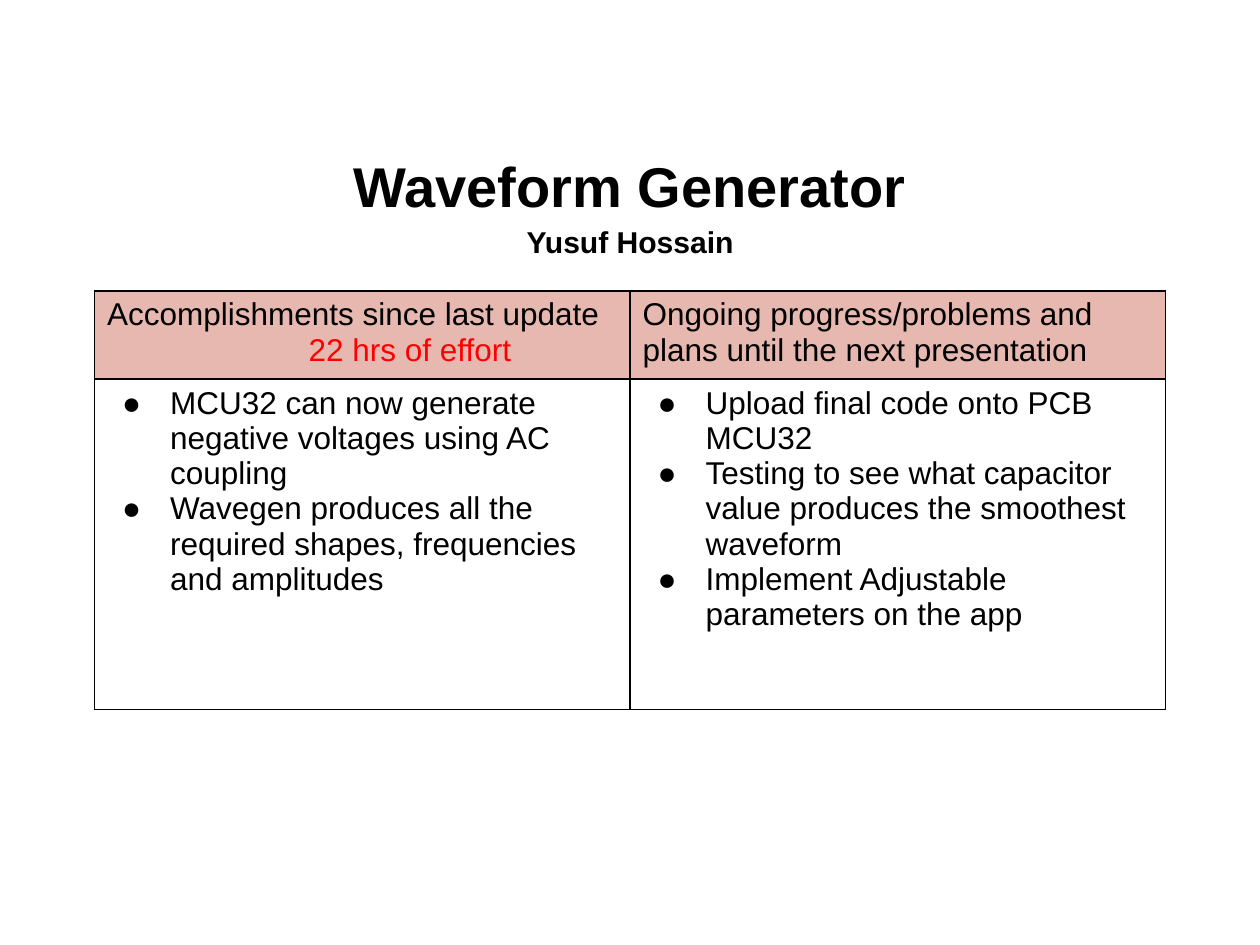
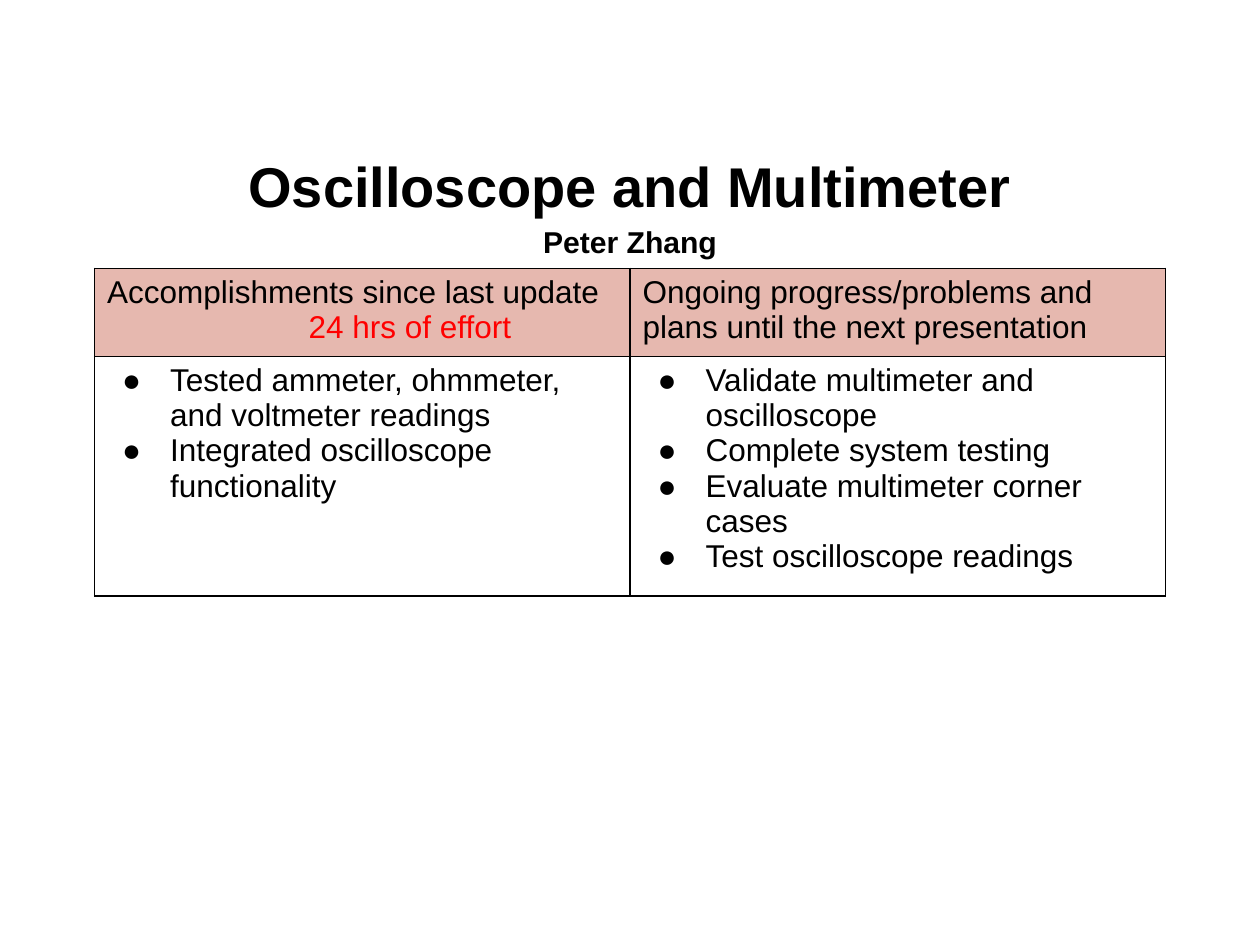
"""Build two project status slides, each with a heading and a progress table."""
from dataclasses import dataclass

from lxml.etree import SubElement
from pptx import Presentation
from pptx.dml.color import RGBColor as Rgb
from pptx.enum.text import MSO_ANCHOR as Anchor, MSO_AUTO_SIZE as Fit, PP_ALIGN as Align
from pptx.oxml.ns import qn
from pptx.util import Inches, Pt

FONT = "Arial"
COLORS = {"ink": "000000", "effort": "FF0000", "head": "E6B8AF", "page": "FFFFFF"}
DONE = "Accomplishments since last update"
NEXT = "Ongoing progress/problems and plans until the next presentation"


@dataclass
class Report:
    title: str
    owner: str
    hours: int
    done: list[str]
    plans: list[str]
    top: float
    depth: float


REPORTS = [
    Report(
        "Waveform Generator", "Yusuf Hossain", 22,
        ["MCU32 can now generate negative voltages using AC coupling",
         "Wavegen produces all the required shapes, frequencies and amplitudes"],
        ["Upload final code onto PCB MCU32",
         "Testing to see what capacitor value produces the smoothest waveform",
         "Implement Adjustable parameters on the app"],
        2.31, 2.62),
    Report(
        "Oscilloscope and Multimeter", "Peter Zhang", 24,
        ["Tested ammeter, ohmmeter, and voltmeter readings",
         "Integrated oscilloscope functionality"],
        ["Validate multimeter and oscilloscope",
         "Complete system testing",
         "Evaluate multimeter corner cases",
         "Test oscilloscope readings"],
        2.13, 1.9),
]


def style(para, size: float, color: str = "ink", bold: bool = False) -> None:
    for run in para.runs:
        run.font.name = FONT
        run.font.size = Pt(size)
        run.font.bold = bold
        run.font.color.rgb = Rgb.from_string(COLORS[color])


def indent(para, left: float, first: float = 0):
    props = para._p.get_or_add_pPr()
    props.set("marL", str(Inches(left)))
    props.set("indent", str(Inches(first)))
    return props


def bullet(para) -> None:
    props = indent(para, 0.5, -0.38)
    tint = SubElement(props, qn("a:buClr"))
    SubElement(tint, qn("a:srgbClr"), val=COLORS["ink"])
    SubElement(props, qn("a:buFont"), typeface=FONT)
    SubElement(props, qn("a:buChar"), char="●")


def border(cell) -> None:
    props = cell._tc.get_or_add_tcPr()
    for spot, side in enumerate(("lnL", "lnR", "lnT", "lnB")):
        line = SubElement(props, qn(f"a:{side}"), w=str(Pt(1)))
        fill = SubElement(line, qn("a:solidFill"))
        SubElement(fill, qn("a:srgbClr"), val=COLORS["ink"])
        props.insert(spot, line)


def write(cell, lines: list[str], listed: bool) -> None:
    cell.text_frame.text = "\n".join(lines)
    for para in cell.text_frame.paragraphs:
        if listed:
            bullet(para)
        style(para, 18)


def add_title(slide, report: Report) -> None:
    title = slide.shapes.title
    title.left, title.top = Inches(0.5), Inches(1.15)
    title.width, title.height = Inches(9), Inches(0.88)
    frame = title.text_frame
    frame.text = f"{report.title}\n{report.owner}"
    frame.auto_size = Fit.NONE
    frame.vertical_anchor = Anchor.MIDDLE
    for para, size in zip(frame.paragraphs, (32, 17.2)):
        para.alignment = Align.CENTER
        para.line_spacing = 1.15
        style(para, size, bold=True)


def add_grid(slide, report: Report) -> None:
    rows = (0.7, report.depth)
    grid = slide.shapes.add_table(
        2, 2, Inches(0.75), Inches(report.top), Inches(8.5), Inches(sum(rows))).table
    grid.first_row = grid.horz_banding = False
    for row, height in zip(grid.rows, rows):
        row.height = Inches(height)
    texts = [[[DONE, f"{report.hours} hrs of effort"], [NEXT]],
             [report.done, report.plans]]
    for r, line in enumerate(texts):
        for c, lines in enumerate(line):
            cell = grid.cell(r, c)
            write(cell, lines, listed=r == 1)
            cell.fill.solid()
            cell.fill.fore_color.rgb = Rgb.from_string(COLORS["page" if r else "head"])
            border(cell)
    effort = grid.cell(0, 0).text_frame.paragraphs[1]
    indent(effort, 1.6)
    style(effort, 18, "effort")


def main() -> None:
    deck = Presentation()
    deck.slide_width, deck.slide_height = Inches(10), Inches(7.5)
    for report in REPORTS:
        slide = deck.slides.add_slide(deck.slide_layouts[5])
        add_title(slide, report)
        add_grid(slide, report)
    deck.save("out.pptx")


if __name__ == "__main__":
    main()
